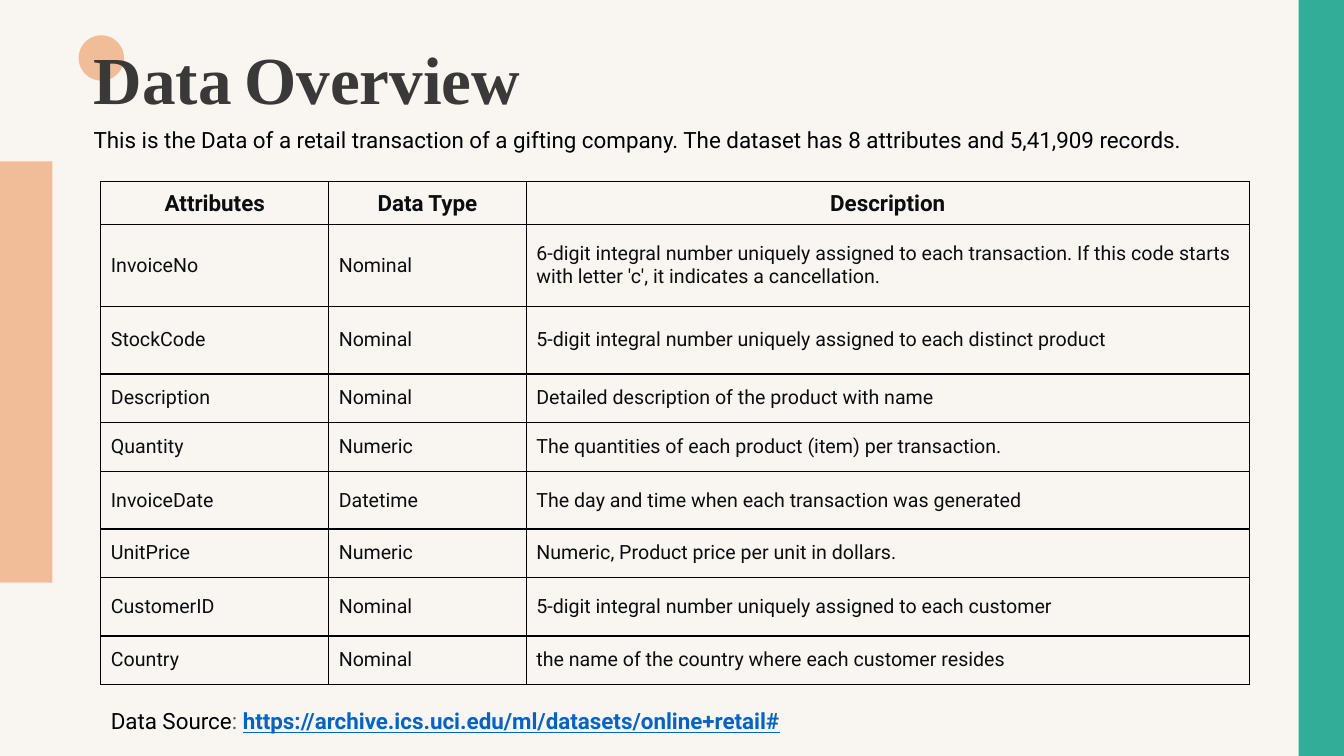
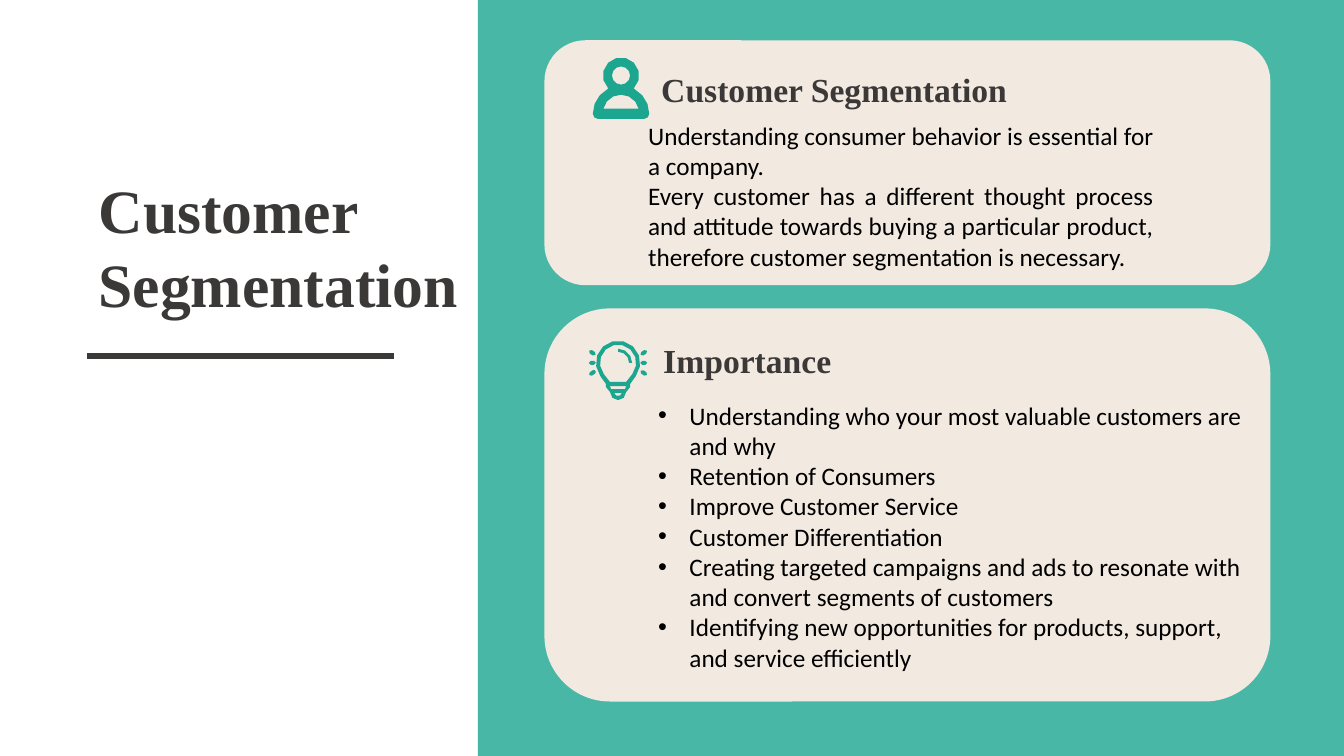
"""Builds two slides on a retail data set and its customer segmentation."""
from itertools import product
from math import atan2, ceil, cos, degrees, radians, sin

from lxml import etree
from pptx import Presentation
from pptx.dml.color import RGBColor
from pptx.enum.shapes import MSO_CONNECTOR, MSO_SHAPE
from pptx.enum.text import MSO_ANCHOR, PP_ALIGN
from pptx.oxml import parse_xml
from pptx.oxml.ns import nsdecls, qn
from pptx.util import Inches, Pt

RECTANGLE, ROUNDED, OVAL = MSO_SHAPE.RECTANGLE, MSO_SHAPE.ROUNDED_RECTANGLE, MSO_SHAPE.OVAL
STRAIGHT = MSO_CONNECTOR.STRAIGHT
TOP, MIDDLE = MSO_ANCHOR.TOP, MSO_ANCHOR.MIDDLE
LEFT, CENTER, JUSTIFY = PP_ALIGN.LEFT, PP_ALIGN.CENTER, PP_ALIGN.JUSTIFY

GREEN = RGBColor(0x1C, 0xA6, 0x8F)
PEACH = RGBColor(0xF1, 0xBD, 0x98)
CREAM = RGBColor(0xF9, 0xF6, 0xF2)
SAND = RGBColor(0xF2, 0xE9, 0xE1)
WHITE = RGBColor(0xFF, 0xFF, 0xFF)
BLACK = RGBColor(0x00, 0x00, 0x00)
INK = RGBColor(0x0D, 0x0D, 0x0D)
CHARCOAL = RGBColor(0x3B, 0x38, 0x38)
GREY = RGBColor(0x5F, 0x5C, 0x5A)
LINK_BLUE = RGBColor(0x05, 0x63, 0xC1)

SERIF, ROBOTO, CALIBRI, LATO = "Times New Roman", "Roboto", "Calibri", "Lato"

COLUMN_WIDTHS = (2.26, 1.96, 7.17)
ROW_HEIGHTS = (0.43, 0.81, 0.67, 0.48, 0.49, 0.57, 0.48, 0.58, 0.48)
ATTRIBUTES = (
    ("Attributes", "Data Type", "Description"),
    ("InvoiceNo", "Nominal",
     "6-digit integral number uniquely assigned to each transaction. "
     "If this code starts with letter 'c', it indicates a cancellation."),
    ("StockCode", "Nominal", "5-digit integral number uniquely assigned to each distinct product"),
    ("Description", "Nominal", "Detailed description of the product with name"),
    ("Quantity", "Numeric", "The quantities of each product (item) per transaction."),
    ("InvoiceDate", "Datetime", "The day and time when each transaction was generated"),
    ("UnitPrice", "Numeric", "Numeric, Product price per unit in dollars."),
    ("CustomerID", "Nominal", "5-digit integral number uniquely assigned to each customer"),
    ("Country", "Nominal", "the name of the country where each customer resides"),
)
REASONS = (
    "Understanding consumer behavior is essential for a company.",
    "Every customer has a different thought process and attitude towards buying "
    "a particular product, therefore customer segmentation is necessary.",
)
BENEFITS = (
    "Understanding who your most valuable customers are and why",
    "Retention of Consumers",
    "Improve Customer Service",
    "Customer Differentiation",
    "Creating targeted campaigns and ads to resonate with and convert segments of customers",
    "Identifying new opportunities for products, support, and service efficiently",
)


def add_page(deck, color):
    """Add a blank page with a plain background."""
    page = deck.slides.add_slide(deck.slide_layouts[6])
    page.background.fill.solid()
    page.background.fill.fore_color.rgb = color
    return page


def paint(shape, color, opacity=100):
    """Give a shape a flat fill without line or shadow."""
    shape.shadow.inherit = False
    shape.line.fill.background()
    shape.fill.solid()
    shape.fill.fore_color.rgb = color
    if opacity < 100:
        tone = shape.fill._xPr.find(".//" + qn("a:srgbClr"))
        etree.SubElement(tone, qn("a:alpha")).set("val", str(opacity * 1000))


def add_block(page, kind, area, color, opacity=100):
    """Add a flat preset shape."""
    paint(page.shapes.add_shape(kind, *map(Inches, area)), color, opacity)


def style(font, name, size, color, bold=False):
    """Set the look of a font."""
    font.name, font.size, font.bold = name, Pt(size), bold
    font.color.rgb = color


def add_box(page, area, lines, look, align=LEFT, anchor=TOP):
    """Add a wrapping text box with one paragraph per line."""
    box = page.shapes.add_textbox(*map(Inches, area))
    frame = box.text_frame
    frame.word_wrap, frame.vertical_anchor = True, anchor
    frame.text = "\n".join(lines)
    for para in frame.paragraphs:
        para.alignment = align
        style(para.font, *look)
    return frame


def add_spans(para, spans):
    """Add runs that differ in look to a paragraph."""
    for words, look in spans:
        span = para.add_run()
        span.text = words
        style(span.font, *look)


def add_bullets(frame, indent):
    """Put a hanging bullet before every paragraph."""
    for para in frame.paragraphs:
        props = para._p.get_or_add_pPr()
        props.set("marL", str(Inches(indent)))
        props.set("indent", str(-Inches(indent)))
        props.append(parse_xml(f'<a:buFont {nsdecls("a")} typeface="Arial"/>'))
        props.append(parse_xml(f'<a:buChar {nsdecls("a")} char="•"/>'))


def add_borders(cell, color, width):
    """Draw all four borders of a cell."""
    props = cell._tc.get_or_add_tcPr()
    for place, side in enumerate(("lnL", "lnR", "lnT", "lnB")):
        props.insert(place, parse_xml(
            f'<a:{side} {nsdecls("a")} w="{Pt(width)}"><a:solidFill>'
            f'<a:srgbClr val="{color}"/></a:solidFill></a:{side}>'))


def fill_cell(cell, words, is_header):
    """Write and style one cell."""
    cell.text = words
    cell.vertical_anchor = MIDDLE
    cell.fill.background()
    add_borders(cell, BLACK, 1)
    para = cell.text_frame.paragraphs[0]
    style(para.font, ROBOTO, 16 if is_header else 14, INK, is_header)
    if is_header:
        para.alignment = CENTER
        cell.margin_left = cell.margin_right = cell.margin_top = Inches(0.01)
        cell.margin_bottom = 0


def add_grid(page, left, top, rows):
    """Add the bordered attribute table."""
    size = sum(COLUMN_WIDTHS), sum(ROW_HEIGHTS)
    table = page.shapes.add_table(
        len(rows), len(COLUMN_WIDTHS), *map(Inches, (left, top, *size))).table
    table.first_row = table.horz_banding = False
    for column, width in zip(table.columns, COLUMN_WIDTHS):
        column.width = Inches(width)
    for row, height in zip(table.rows, ROW_HEIGHTS):
        row.height = Inches(height)
    for number, texts in enumerate(rows):
        for cell, words in zip(table.rows[number].cells, texts):
            fill_cell(cell, words, number == 0)


def add_rule(page, start, end, color, width):
    """Add a straight line."""
    rule = page.shapes.add_connector(STRAIGHT, *map(Inches, (*start, *end)))
    rule.line.color.rgb, rule.line.width = color, Pt(width)
    etree.SubElement(rule._element.spPr, qn("a:effectLst"))


def arc(x, y, radius, start, end, stride=30):
    """Return points on an arc, in degrees clockwise from the right."""
    steps = ceil(abs(end - start) / stride)
    turns = (radians(start + (end - start) * step / steps) for step in range(steps + 1))
    return [(x + radius * cos(turn), y + radius * sin(turn)) for turn in turns]


def capsule(start, end, radius):
    """Return the outline of a thick line with rounded ends."""
    angle = degrees(atan2(end[1] - start[1], end[0] - start[0]))
    return (arc(*end, radius, angle - 90, angle + 90, 90)
            + arc(*start, radius, angle + 90, angle + 270, 90))


def add_outline(page, *contours):
    """Add one green freeform; later contours are holes."""
    first, *holes = [[(Inches(x), Inches(y)) for x, y in contour] for contour in contours]
    builder = page.shapes.build_freeform(*first[0])
    builder.add_line_segments(first[1:], close=True)
    for hole in holes:
        builder.move_to(*hole[0])
        builder.add_line_segments(hole[1:], close=True)
    paint(builder.convert_to_shape(), GREEN)


def add_person(page):
    """Draw the person icon."""
    x, head, foot = 6.16, 0.75, 1.13
    body = (arc(x, head, 0.18, 135, 405) + arc(x, foot, 0.28, -62, 0)
            + arc(x + 0.23, foot, 0.05, 0, 90, 45) + arc(x - 0.23, foot, 0.05, 90, 180, 45)
            + arc(x, foot, 0.28, 180, 242))
    add_outline(page, body, arc(x, head, 0.09, 0, 330), arc(x, 1.12, 0.18, 193, 347))


def add_bulb(page):
    """Draw the shining bulb icon."""
    x, y, tip = 6.13, 3.6, 3.89
    glass = (arc(x, y, 0.22, 143, 397)
             + [(x + 0.12, 3.81), (x + 0.12, 3.84), (x + 0.08, tip)]
             + arc(x, tip, 0.08, 45, 135, 45)
             + [(x - 0.08, tip), (x - 0.12, 3.84), (x - 0.12, 3.81)])
    hollow = arc(x, y, 0.18, 142, 398) + [(x + 0.08, 3.79), (x - 0.08, 3.79)]
    base = [(x - 0.08, 3.83), (x + 0.08, 3.83), (x + 0.07, 3.86), (x - 0.07, 3.86)]
    add_outline(page, arc(x, y, 0.14, -90, 0) + arc(x, y, 0.11, 0, -90))
    add_outline(page, glass, hollow, base, arc(x, tip, 0.04, 10, 170, 60))
    for side, level in product((-1, 1), (0, -1, 1)):
        near = x + side * 0.24, y + level * 0.09
        far = x + side * 0.27, y + level * 0.11
        add_outline(page, capsule(near, far, 0.02))


def build_overview(deck):
    """Build the data overview page."""
    page = add_page(deck, CREAM)
    add_grid(page, 1, 1.8, ATTRIBUTES)
    add_block(page, OVAL, (0.78, 0.35, 0.45, 0.45), PEACH)
    plain = ROBOTO, 16, BLACK
    source = add_box(page, (1, 6.97, 7.38, 0.64), [""], plain).paragraphs[0]
    add_spans(source, (
        ("Data Source", plain),
        (": ", (ROBOTO, 16, GREY)),
        ("https://archive.ics.uci.edu/ml/datasets/online+retail#", (ROBOTO, 16, LINK_BLUE, True)),
    ))
    source.runs[-1].font.underline = True
    add_box(page, (0.83, 1.2, 11.39, 0.37), [
        "This is the Data of a retail transaction of a gifting company. "
        "The dataset has 8 attributes and 5,41,909 records."], plain)
    heading = SERIF, 48, CHARCOAL, True
    title = add_box(page, (0.83, 0.46, 8.43, 0.63), [""], heading, anchor=MIDDLE)
    title.margin_top = title.margin_bottom = Inches(0.1)
    add_spans(title.paragraphs[0], (
        ("Data", heading), (" ", (LATO, 35, GREY)), ("Overview", heading)))
    add_block(page, RECTANGLE, (12.88, 0, 0.48, 7.5), GREEN, 90)
    add_block(page, RECTANGLE, (0, 1.6, 0.52, 4.18), PEACH)


def build_segmentation(deck):
    """Build the customer segmentation page."""
    page = add_page(deck, WHITE)
    add_block(page, RECTANGLE, (4.74, 0, 8.6, 7.5), GREEN, 80)
    add_box(page, (0.88, 1.66, 5.4, 1.58), ["Customer Segmentation"],
            (SERIF, 44, CHARCOAL, True))
    for top, height in ((0.4, 2.43), (3.06, 3.9)):
        add_block(page, ROUNDED, (5.4, top, 7.2, height), SAND)
    body = CALIBRI, 18, BLACK
    add_bullets(add_box(page, (6.43, 3.92, 6.02, 2.83), BENEFITS, body), 0.31)
    add_box(page, (6.33, 1.14, 5.21, 1.62), REASONS, body, JUSTIFY)
    add_rule(page, (0.86, 3.53), (3.91, 3.53), CHARCOAL, 4.5)
    add_bulb(page)
    card_title = SERIF, 24, CHARCOAL, True
    add_box(page, (6.48, 3.32, 5.36, 0.5), ["Importance"], card_title, JUSTIFY)
    add_box(page, (6.46, 0.63, 4.11, 0.5), ["Customer Segmentation"], card_title, JUSTIFY)
    add_person(page)


def main():
    """Build and save the deck."""
    deck = Presentation()
    deck.slide_width, deck.slide_height = Inches(13.33), Inches(7.5)
    build_overview(deck)
    build_segmentation(deck)
    deck.save("out.pptx")


main()
